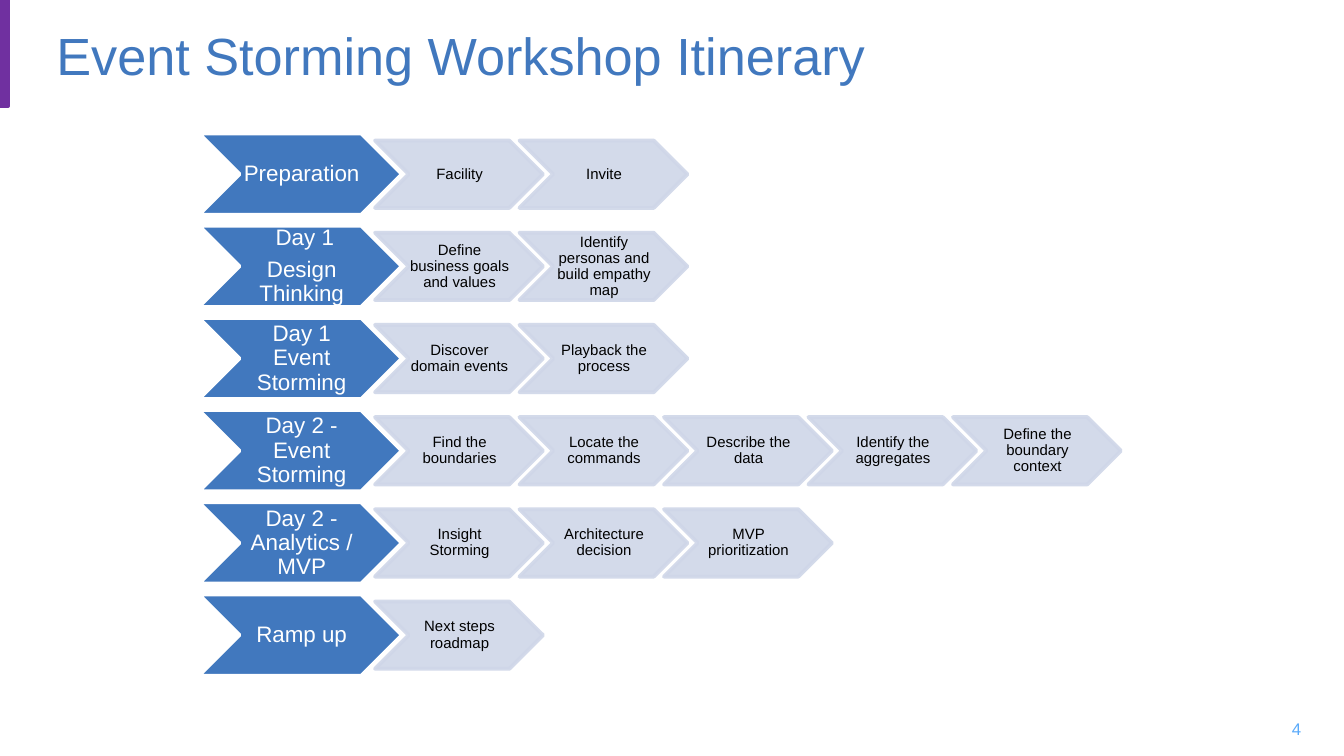
"""Builds the workshop itinerary slide."""
from lxml import etree
from pptx import Presentation
from pptx.dml.color import RGBColor
from pptx.enum.shapes import MSO_SHAPE
from pptx.enum.text import MSO_ANCHOR, MSO_AUTO_SIZE, PP_ALIGN
from pptx.oxml.ns import qn
from pptx.util import Inches, Pt

RECT, CHEVRON = MSO_SHAPE.RECTANGLE, MSO_SHAPE.CHEVRON
LEFT, CENTER, RIGHT = PP_ALIGN.LEFT, PP_ALIGN.CENTER, PP_ALIGN.RIGHT
MIDDLE, NO_FIT = MSO_ANCHOR.MIDDLE, MSO_AUTO_SIZE.NONE

COLS, ROWS = 100, 56.25
CELL = Inches(0.1)

PHASE_LEFT, PHASE_TOP, PHASE_W, PHASE_H = 14.8, 9.94, 15.1, 6.04
PHASE_PITCH = 6.86
STEP_LEFT, STEP_W, STEP_H = 27.9, 12.5, 5.01
STEP_PITCH = 10.75

ITINERARY = [
    (["Preparation"], ["Facility", "Invite"]),
    ([" Day 1", "Design Thinking"],
     ["Define business goals and values", "Identify personas and build empathy map"]),
    (["Day 1 Event Storming"], ["Discover domain events", "Playback the process"]),
    (["Day 2 - Event Storming"],
     ["Find the boundaries", "Locate the commands", "Describe the data",
      "Identify the aggregates", "Define the boundary context"]),
    (["Day 2 - Analytics / MVP"],
     ["Insight Storming", "Architecture decision", "MVP prioritization"]),
    (["Ramp up"], ["Next steps roadmap"]),
]


def rgb(value):
    """Turn a hex string into a colour."""
    return RGBColor.from_string(value)


def grid(*cells):
    """Turn grid cells into lengths."""
    return [round(c * CELL) for c in cells]


class Deck:
    """Holds the style and the current slide."""

    font = "Arial"
    blue, pale, purple, sky = "4178BE", "CFD6E8", "7030A0", "5AAAFA"
    white, black = "FFFFFF", "000000"
    inset = (0.1, 0.05, 0.1, 0.05)

    def __init__(self, prs):
        """Add a slide with a title only."""
        self.s = prs.slides.add_slide(prs.slide_layouts[5])

    def add_text(self, sp, lines, size, color, align, inset=inset, spacing=1.0):
        """Put paragraphs into a shape."""
        tf = sp.text_frame
        tf.word_wrap, tf.auto_size, tf.vertical_anchor = True, NO_FIT, MIDDLE
        (tf.margin_left, tf.margin_top,
         tf.margin_right, tf.margin_bottom) = map(Inches, inset)
        for i, line in enumerate(lines):
            p = tf.add_paragraph() if i else tf.paragraphs[0]
            p.alignment, p.line_spacing = align, spacing
            p.space_before = Pt(size * 0.35 if i else 0)
            r = p.add_run()
            r.text = line
            r.font.name, r.font.size = self.font, Pt(size)
            r.font.color.rgb = rgb(color)

    def title(self, text, *box):
        """Place and fill the title placeholder."""
        sp = self.s.shapes.title
        sp.left, sp.top, sp.width, sp.height = grid(*box)
        self.add_text(sp, [text], 28, self.blue, LEFT)

    def label(self, text, *box):
        """Add a small right-aligned text box."""
        sp = self.s.shapes.add_textbox(*grid(*box))
        self.add_text(sp, [text], 9, self.sky, RIGHT)

    def shape(self, kind, fill, line, *box, alpha=None):
        """Add a filled preset shape."""
        sp = self.s.shapes.add_shape(kind, *grid(*box))
        sp.shadow.inherit = False
        sp.fill.solid()
        sp.fill.fore_color.rgb = rgb(fill)
        sp.line.color.rgb = rgb(line)
        sp.line.width = Pt(2)
        if alpha:
            for clr in sp._element.spPr.iter(qn("a:srgbClr")):
                etree.SubElement(clr, qn("a:alpha")).set("val", str(alpha * 1000))
        return sp

    def phase(self, lines, row):
        """Add the dark chevron that opens a row."""
        top = PHASE_TOP + row * PHASE_PITCH
        sp = self.shape(CHEVRON, self.blue, self.white,
                        PHASE_LEFT, top, PHASE_W, PHASE_H)
        self.add_text(sp, lines, 12, self.white, CENTER, (0.02, 0.01, 0, 0.01), 0.9)

    def step(self, text, row, col):
        """Add a pale chevron centred on its row."""
        top = PHASE_TOP + row * PHASE_PITCH + (PHASE_H - STEP_H) / 2
        sp = self.shape(CHEVRON, self.pale, self.pale,
                        STEP_LEFT + col * STEP_PITCH, top, STEP_W, STEP_H, alpha=90)
        self.add_text(sp, [text], 8, self.black, CENTER, (0.01, 0.01, 0, 0.01), 0.9)


def main():
    """Build and save the slide."""
    prs = Presentation()
    prs.slide_width, prs.slide_height = grid(COLS, ROWS)
    deck = Deck(prs)
    deck.shape(RECT, deck.purple, deck.purple, 0, 0, 0.6, 7.9)
    deck.title("Event Storming Workshop Itinerary", 3.2, 0.5, 91.8, 7.2)
    for row, (phase, steps) in enumerate(ITINERARY):
        deck.phase(phase, row)
        for col, step in enumerate(steps):
            deck.step(step, row, col)
    deck.label("4", 93.4, 52.7, 4.4, 3)
    prs.save("out.pptx")


if __name__ == "__main__":
    main()
